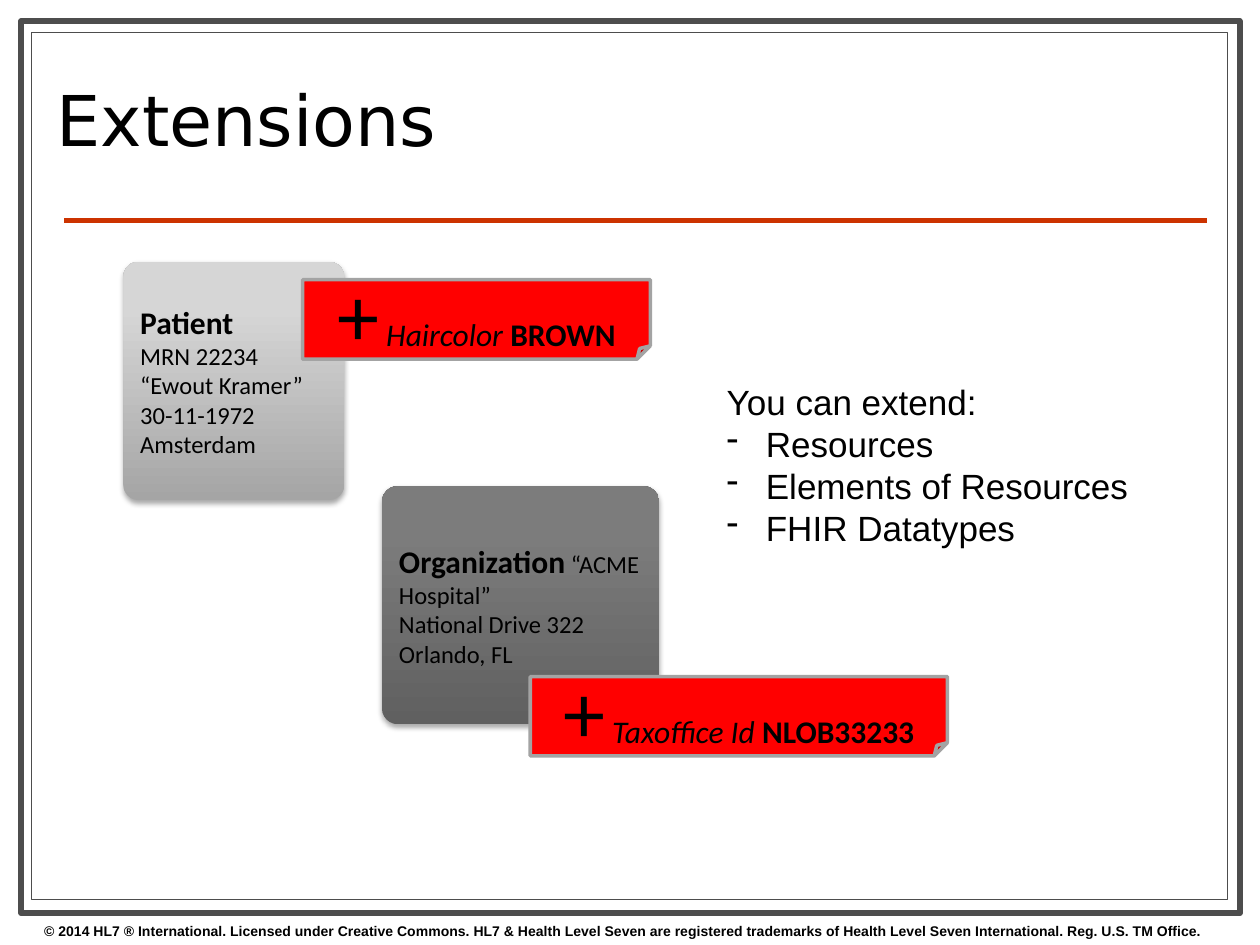
from dataclasses import dataclass

from lxml import etree
from pptx import Presentation
from pptx.dml.color import RGBColor
from pptx.enum.shapes import MSO_CONNECTOR, MSO_SHAPE
from pptx.enum.text import MSO_ANCHOR, MSO_AUTO_SIZE, PP_ALIGN
from pptx.oxml.ns import qn
from pptx.util import Cm, Pt

RECTANGLE = MSO_SHAPE.RECTANGLE
ROUNDED = MSO_SHAPE.ROUNDED_RECTANGLE
FOLDED = MSO_SHAPE.FOLDED_CORNER
STRAIGHT = MSO_CONNECTOR.STRAIGHT
MIDDLE = MSO_ANCHOR.MIDDLE
LEFT, CENTER = PP_ALIGN.LEFT, PP_ALIGN.CENTER
FIT_SHAPE = MSO_AUTO_SIZE.SHAPE_TO_FIT_TEXT

BLACK = RGBColor(0x00, 0x00, 0x00)
WHITE = RGBColor(0xFF, 0xFF, 0xFF)
FRAME_GRAY = RGBColor(0x4D, 0x4D, 0x4D)
RULE_RED = RGBColor(0xCC, 0x33, 0x00)
TAG_RED = RGBColor(0xFF, 0x00, 0x00)
TAG_EDGE = RGBColor(0xA3, 0xA3, 0xA3)
PATIENT_BOTTOM = RGBColor(0xA5, 0xA5, 0xA5)
PATIENT_TOP = RGBColor(0xD6, 0xD6, 0xD6)
ORGANIZATION_BOTTOM = RGBColor(0x60, 0x60, 0x60)
ORGANIZATION_TOP = RGBColor(0x7C, 0x7C, 0x7C)

COPYRIGHT = (
    "© 2014 HL7 ® International. Licensed under Creative Commons. "
    "HL7 & Health Level Seven are registered trademarks of "
    "Health Level Seven International. Reg. U.S. TM Office."
)


@dataclass(frozen=True)
class Box:
    left: float
    top: float
    width: float
    height: float

    def lengths(self) -> tuple:
        return Cm(self.left), Cm(self.top), Cm(self.width), Cm(self.height)


@dataclass(frozen=True)
class Frame:
    box: Box
    weight: float


@dataclass(frozen=True)
class Resource:
    box: Box
    bottom: RGBColor
    top: RGBColor
    name: str
    beside_name: str
    details: tuple


@dataclass(frozen=True)
class Extension:
    box: Box
    label: str
    value: str


FRAMES = (
    Frame(Box(0.43, 0.43, 24.56, 17.98), 3.5),
    Frame(Box(0.64, 0.66, 24.1, 17.48), 0.75),
)
RESOURCES = (
    Resource(Box(7.7, 9.8, 5.59, 4.8), ORGANIZATION_BOTTOM, ORGANIZATION_TOP,
             "Organization", " “ACME Hospital”",
             ("National Drive 322", "Orlando, FL")),
    Resource(Box(2.49, 5.28, 4.45, 4.8), PATIENT_BOTTOM, PATIENT_TOP,
             "Patient", "",
             ("MRN 22234", "“Ewout Kramer”", "30-11-1972", "Amsterdam")),
)
EXTENSIONS = (
    Extension(Box(6.1, 5.64, 7.01, 1.6), "Haircolor", "BROWN"),
    Extension(Box(10.69, 13.64, 8.41, 1.6), "Taxoffice Id", "NLOB33233"),
)
EXTENDABLE = ("Resources", "Elements of Resources", "FHIR Datatypes")


def style(font, name: str, size: float | None = None, bold: bool | None = None) -> None:
    font.name = name
    font.color.rgb = BLACK
    font.bold = bold
    if size:
        font.size = Pt(size)


def add_run(paragraph, text: str, size: float, bold: bool = False, italic: bool = False) -> None:
    run = paragraph.add_run()
    run.text = text
    run.font.size = Pt(size)
    run.font.bold = bold
    run.font.italic = italic


def add_textbox(slide, box: Box, wrap: bool = True):
    text_frame = slide.shapes.add_textbox(*box.lengths()).text_frame
    text_frame.word_wrap = wrap
    return text_frame


def add_outlined(slide, kind, box: Box, fill: RGBColor, edge: RGBColor, weight: float):
    shape = slide.shapes.add_shape(kind, *box.lengths())
    shape.shadow.inherit = False
    shape.fill.solid()
    shape.fill.fore_color.rgb = fill
    shape.line.color.rgb = edge
    shape.line.width = Pt(weight)
    return shape


def add_rule(slide) -> None:
    rule = slide.shapes.add_connector(STRAIGHT, Cm(1.3), Cm(4.45), Cm(24.33), Cm(4.45))
    rule.line.color.rgb = RULE_RED
    rule.line.width = Pt(3)
    etree.SubElement(rule._element.spPr, qn("a:effectLst"))


def add_drop_shadow(shape) -> None:
    shape.shadow.inherit = False
    effects = shape._element.spPr.find(qn("a:effectLst"))
    shadow = etree.SubElement(effects, qn("a:outerShdw"), blurRad=str(Pt(3.1)),
                              dist=str(Pt(1.8)), dir="5400000", rotWithShape="0")
    color = etree.SubElement(shadow, qn("a:srgbClr"), val=str(BLACK))
    etree.SubElement(color, qn("a:alpha"), val="35000")


def add_resource(slide, resource: Resource) -> None:
    card = slide.shapes.add_shape(ROUNDED, *resource.box.lengths())
    card.adjustments[0] = 0.067
    card.line.fill.background()
    add_drop_shadow(card)
    card.fill.gradient()
    card.fill.gradient_angle = 90
    shades = ((0, resource.bottom), (0.8, resource.top))
    for stop, (position, color) in zip(card.fill.gradient_stops, shades):
        stop.position = position
        stop.color.rgb = color
    text_frame = card.text_frame
    text_frame.vertical_anchor = MIDDLE
    heading = text_frame.paragraphs[0]
    heading.alignment = LEFT
    style(heading.font, "Calibri")
    add_run(heading, resource.name, 18, bold=True)
    if resource.beside_name:
        add_run(heading, resource.beside_name, 14)
    for detail in resource.details:
        line = text_frame.add_paragraph()
        line.text = detail
        line.alignment = LEFT
        style(line.font, "Calibri", 14)


def add_extension(slide, extension: Extension) -> None:
    tag = add_outlined(slide, FOLDED, extension.box, TAG_RED, TAG_EDGE, 2)
    tag.text_frame.vertical_anchor = MIDDLE
    paragraph = tag.text_frame.paragraphs[0]
    paragraph.alignment = CENTER
    style(paragraph.font, "Calibri")
    add_run(paragraph, "+", 48)
    add_run(paragraph, f" {extension.label} ", 18, italic=True)
    add_run(paragraph, extension.value, 18, bold=True)


def add_extendable_list(slide) -> None:
    text_frame = add_textbox(slide, Box(14.4, 7.54, 8.69, 3.68), wrap=False)
    text_frame.auto_size = FIT_SHAPE
    intro = text_frame.paragraphs[0]
    intro.text = "You can extend:"
    style(intro.font, "Arial", 20)
    for item in EXTENDABLE:
        paragraph = text_frame.add_paragraph()
        paragraph.text = item
        properties = paragraph._p.get_or_add_pPr()
        properties.set("marL", str(Cm(0.79)))
        properties.set("indent", str(-Cm(0.79)))
        etree.SubElement(properties, qn("a:buChar"), char="-")
        style(paragraph.font, "Arial", 20)


def main() -> None:
    """Build the slide on FHIR extensions and save it."""
    deck = Presentation()
    deck.slide_width, deck.slide_height = Cm(25.4), Cm(19.05)
    slide = deck.slides.add_slide(deck.slide_layouts[6])
    for frame in FRAMES:
        add_outlined(slide, RECTANGLE, frame.box, WHITE, FRAME_GRAY, frame.weight)
    add_rule(slide)

    footer = add_textbox(slide, Box(0.64, 18.47, 25.4, 0.58))
    footer.auto_size = FIT_SHAPE
    footer.paragraphs[0].text = COPYRIGHT
    style(footer.paragraphs[0].font, "Arial", 8, bold=True)

    title = add_textbox(slide, Box(0.89, 0.91, 18.21, 3.28))
    title.vertical_anchor = MIDDLE
    title.paragraphs[0].text = "Extensions"
    title.paragraphs[0].line_spacing = 0.8
    style(title.paragraphs[0].font, "DejaVu Sans", 40)

    for resource in RESOURCES:
        add_resource(slide, resource)
    for extension in EXTENSIONS:
        add_extension(slide, extension)
    add_extendable_list(slide)
    deck.save("out.pptx")


if __name__ == "__main__":
    main()
